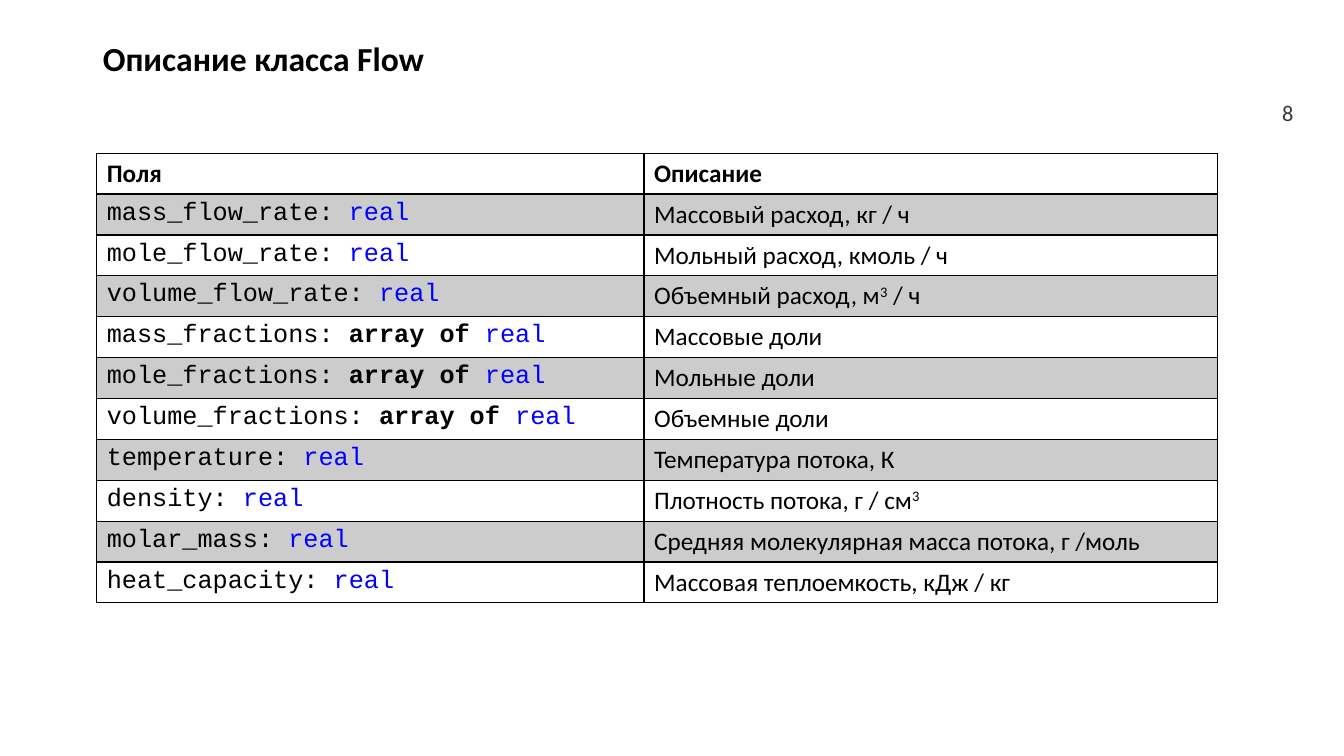
"""Build the slide that lists the fields of the Flow class."""
from dataclasses import dataclass

from lxml.etree import SubElement
from pptx import Presentation
from pptx.dml.color import RGBColor
from pptx.enum.text import MSO_ANCHOR, MSO_AUTO_SIZE, PP_ALIGN
from pptx.oxml import parse_xml
from pptx.oxml.ns import nsdecls, qn
from pptx.util import Inches, Pt

LEFT, RIGHT = PP_ALIGN.LEFT, PP_ALIGN.RIGHT
MIDDLE, FIXED = MSO_ANCHOR.MIDDLE, MSO_AUTO_SIZE.NONE
SANS, MONO = "Calibri", "Courier New"
BLACK, BLUE, GREY = "000000", "0000FF", "3B3838"
COLS, ROWS = 160, 90
CELL = Inches(1) // 12
ROW = 4.87
WIDTHS = (65.16, 68.28)
HEADS = ("Поля", "Описание")


@dataclass
class Box:
    left: float
    top: float
    width: float
    height: float


@dataclass
class Part:
    text: str
    face: str = SANS
    tint: str = BLACK
    bold: bool = False
    raised: bool = False


@dataclass
class Field:
    name: str
    note: str
    many: bool = False


FIELDS = (
    Field("mass_flow_rate", "Массовый расход, кг / ч"),
    Field("mole_flow_rate", "Мольный расход, кмоль / ч"),
    Field("volume_flow_rate", "Объемный расход, м^3^ / ч"),
    Field("mass_fractions", "Массовые доли", True),
    Field("mole_fractions", "Мольные доли", True),
    Field("volume_fractions", "Объемные доли", True),
    Field("temperature", "Температура потока, К"),
    Field("density", "Плотность потока, г / см^3^"),
    Field("molar_mass", "Средняя молекулярная масса потока, г /моль"),
    Field("heat_capacity", "Массовая теплоемкость, кДж / кг"),
)
TITLE = Box(11.04, 2.04, 129.36, 10.44)
PAGE = Box(149.04, 11.04, 6.12, 4.8)
TABLE = Box(11.52, 18.24, sum(WIDTHS), ROW * (len(FIELDS) + 1))


def span(cells: float) -> int:
    return round(cells * CELL)


def place(box: Box) -> tuple[int, ...]:
    return tuple(map(span, (box.left, box.top, box.width, box.height)))


def color(code: str) -> RGBColor:
    return RGBColor.from_string(code)


def style(run, part: Part, size: int) -> None:
    font = run.font
    font.name, font.size, font.bold = part.face, Pt(size), part.bold
    font.color.rgb = color(part.tint)
    if part.raised:
        run._r.get_or_add_rPr().set("baseline", "30000")


def write(frame, parts: list[Part], size: int) -> None:
    line = frame.paragraphs[0]
    line.text = parts[0].text
    for part in parts[1:]:
        line.add_run().text = part.text
    for run, part in zip(line.runs, parts):
        style(run, part, size)


def label(shape, part: Part, size: int, align: PP_ALIGN) -> None:
    frame = shape.text_frame
    frame.word_wrap, frame.auto_size = True, FIXED
    frame.vertical_anchor = MIDDLE
    write(frame, [part], size)
    frame.paragraphs[0].alignment = align


def code(field: Field) -> list[Part]:
    kind = [Part("array of ", MONO, bold=True)] if field.many else []
    return [Part(f"{field.name}: ", MONO), *kind, Part("real", MONO, BLUE)]


def prose(note: str) -> list[Part]:
    bits = enumerate(note.split("^"))
    return [Part(bit, raised=i % 2 == 1) for i, bit in bits if bit]


def shade(cell, dark: bool) -> None:
    if not dark:
        cell.fill.background()
        return
    cell.fill.solid()
    cell.fill.fore_color.rgb = color(BLACK)
    tone = cell._tc.tcPr.find(f".//{qn('a:srgbClr')}")
    SubElement(tone, qn("a:alpha")).set("val", "20000")


def frame(cell, row: int) -> None:
    wide = {"T": row == 1, "B": row == 0}
    for i, side in enumerate("LRTB"):
        width = Pt(2 if wide.get(side) else 1)
        edge = parse_xml(
            f'<a:ln{side} {nsdecls("a")} w="{width}"><a:solidFill>'
            f'<a:srgbClr val="{BLACK}"/></a:solidFill></a:ln{side}>')
        cell._tc.tcPr.insert(i, edge)


def chart(slide) -> None:
    rows = [[[Part(head, bold=True)] for head in HEADS]]
    rows += [[code(field), prose(field.note)] for field in FIELDS]
    grid = slide.shapes.add_table(len(rows), len(HEADS), *place(TABLE)).table
    grid.first_row = grid.horz_banding = False
    for col, width in zip(grid.columns, WIDTHS):
        col.width = span(width)
    for r, row in enumerate(rows):
        grid.rows[r].height = span(ROW)
        for c, parts in enumerate(row):
            cell = grid.cell(r, c)
            write(cell.text_frame, parts, 18)
            shade(cell, r % 2 == 1)
            frame(cell, r)


def main() -> None:
    deck = Presentation()
    deck.slide_width, deck.slide_height = COLS * CELL, ROWS * CELL
    slide = deck.slides.add_slide(deck.slide_layouts[5])
    title = slide.shapes.title
    title.left, title.top, title.width, title.height = place(TITLE)
    label(title, Part("Описание класса Flow", bold=True), 24, LEFT)
    title.text_frame.paragraphs[0].line_spacing = 0.9
    page = slide.shapes.add_textbox(*place(PAGE))
    label(page, Part("8", tint=GREY), 16, RIGHT)
    chart(slide)
    deck.save("out.pptx")


if __name__ == "__main__":
    main()
